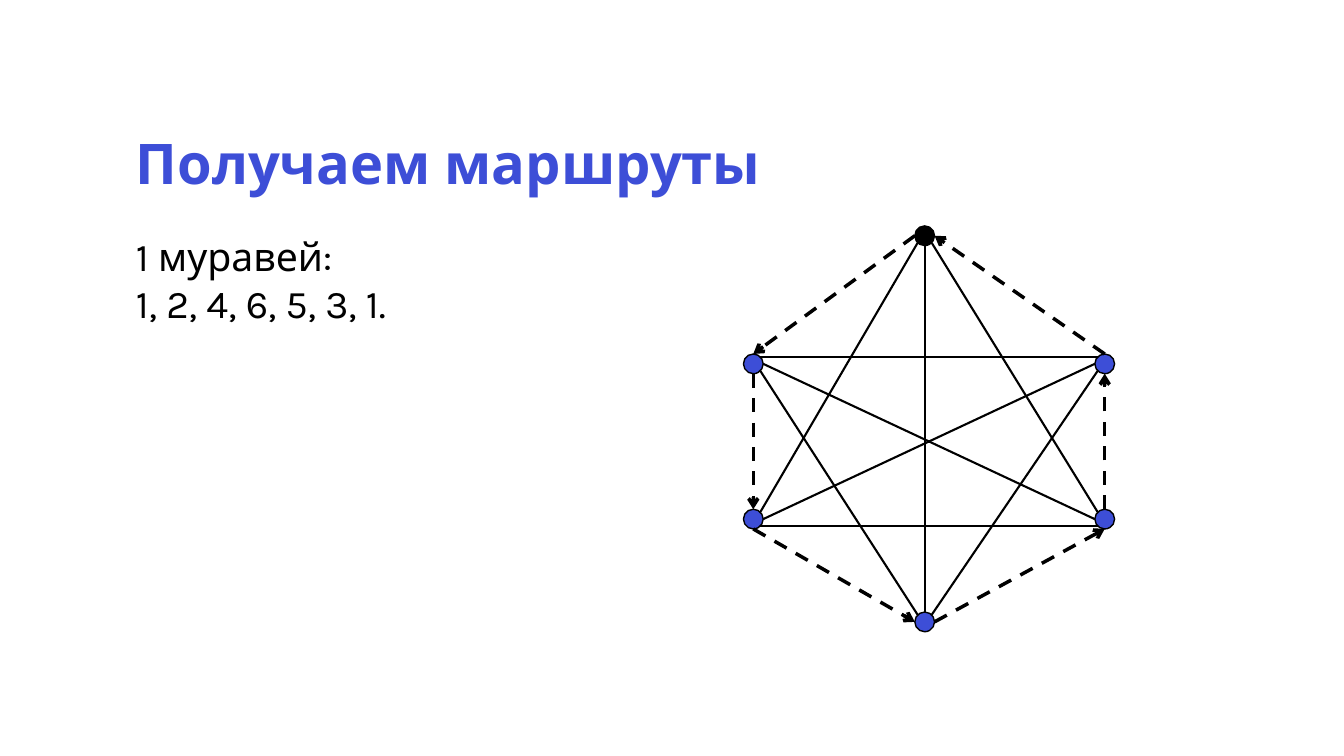
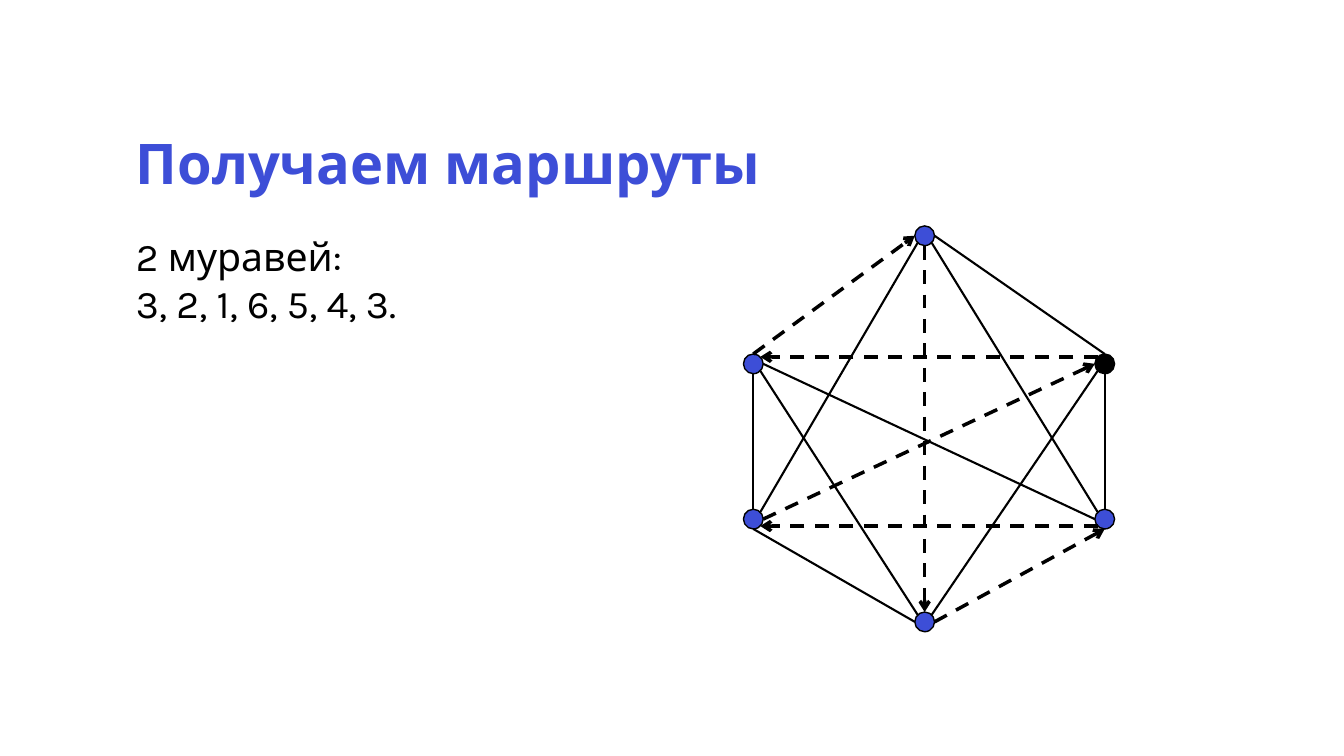
"""Build two slides that show ant routes over a complete graph of six nodes."""
import itertools
import math

import lxml.etree
import pptx
import pptx.dml.color
import pptx.enum.dml
import pptx.enum.shapes
import pptx.enum.text
import pptx.oxml.ns
import pptx.util

Pt = pptx.util.Pt
BLUE = pptx.dml.color.RGBColor(0x3D, 0x4E, 0xD7)
BLACK = pptx.dml.color.RGBColor(0, 0, 0)
FONT = "Karla"
TITLE = "Получаем маршруты"

DIAMETER = 14.1
LEFT, MIDDLE, RIGHT = 538.1, 660.5, 789.1
NODES = {
    1: (MIDDLE, 168.4),
    2: (LEFT, 259.9),
    3: (RIGHT, 259.9),
    4: (LEFT, 370.8),
    5: (RIGHT, 370.8),
    6: (MIDDLE, 444.2),
}
ANGLES = {"E": 0, "SE": 45, "S": 90, "SW": 135, "W": 180, "NW": 225, "N": 270, "NE": 315}
EDGE_SIDES = {
    (1, 2): ("W", "N"),
    (1, 3): ("E", "N"),
    (1, 4): ("SW", "NE"),
    (1, 5): ("SE", "NW"),
    (1, 6): ("S", "N"),
    (2, 3): ("NE", "NW"),
    (2, 4): ("S", "N"),
    (2, 5): ("E", "W"),
    (2, 6): ("SE", "NW"),
    (3, 4): ("W", "E"),
    (3, 5): ("S", "N"),
    (3, 6): ("SW", "NE"),
    (4, 5): ("SE", "SW"),
    (4, 6): ("S", "W"),
    (5, 6): ("S", "E"),
}
ROUTES = [
    (1, 2, 4, 6, 5, 3, 1),
    (3, 2, 1, 6, 5, 4, 3),
]


def add_text(slide, box, text, size, color, bold=False):
    """Add a wrapped text box and return its text frame."""
    frame = slide.shapes.add_textbox(*map(Pt, box)).text_frame
    frame.word_wrap = True
    frame.text = text
    for paragraph in frame.paragraphs:
        for run in paragraph.runs:
            run.font.name = FONT
            run.font.size = Pt(size)
            run.font.bold = bold
            run.font.color.rgb = color
    return frame


def add_title(slide):
    """Add the title that all slides share."""
    frame = add_text(slide, (90, 90, 781, 57.6), TITLE, 40, BLUE, bold=True)
    frame.vertical_anchor = pptx.enum.text.MSO_ANCHOR.MIDDLE
    frame.paragraphs[0].line_spacing = 0.9


def add_caption(slide, ant, route):
    """Add the ant's number and the list of nodes it visits."""
    visits = ", ".join(map(str, route))
    frame = add_text(slide, (90, 162.7, 390, 75), f"{ant} муравей:\n{visits}.", 28, BLACK)
    frame.auto_size = pptx.enum.text.MSO_AUTO_SIZE.SHAPE_TO_FIT_TEXT


def add_node(slide, center, color):
    """Add a round graph node around its center."""
    x, y = (value - DIAMETER / 2 for value in center)
    node = slide.shapes.add_shape(
        pptx.enum.shapes.MSO_SHAPE.OVAL, Pt(x), Pt(y), Pt(DIAMETER), Pt(DIAMETER))
    node.shadow.inherit = False
    node.fill.solid()
    node.fill.fore_color.rgb = color
    node.line.color.rgb = BLACK
    node.line.width = Pt(1)


def rim_point(node, side):
    """Return the point on a node's rim that faces a side."""
    x, y = NODES[node]
    angle = math.radians(ANGLES[side])
    return x + DIAMETER / 2 * math.cos(angle), y + DIAMETER / 2 * math.sin(angle)


def add_edge(slide, start, end, travelled):
    """Add a plain edge, or a dashed arrow when the ant travels along it."""
    edge = slide.shapes.add_connector(
        pptx.enum.shapes.MSO_CONNECTOR.STRAIGHT, *map(Pt, (*start, *end)))
    edge.line.color.rgb = BLACK
    edge.line.width = Pt(2.5 if travelled else 1.5)
    qn = pptx.oxml.ns.qn
    if travelled:
        edge.line.dash_style = pptx.enum.dml.MSO_LINE.DASH
        outline = edge.line._get_or_add_ln()
        lxml.etree.SubElement(outline, qn("a:tailEnd"), type="arrow")
    lxml.etree.SubElement(edge._element.spPr, qn("a:effectLst"))


def add_graph(slide, route):
    """Draw the complete graph with one closed route highlighted."""
    steps = set(itertools.pairwise(route))
    for node, center in NODES.items():
        add_node(slide, center, BLACK if node == route[0] else BLUE)
    for pair, sides in EDGE_SIDES.items():
        ends = [rim_point(node, side) for node, side in zip(pair, sides)]
        backwards = pair[::-1] in steps
        if backwards:
            ends.reverse()
        add_edge(slide, *ends, travelled=backwards or pair in steps)


def main():
    """Create one slide per ant and save the presentation."""
    deck = pptx.Presentation()
    deck.slide_width, deck.slide_height = Pt(960), Pt(540)
    for ant, route in enumerate(ROUTES, start=1):
        slide = deck.slides.add_slide(deck.slide_layouts[6])
        add_title(slide)
        add_caption(slide, ant, route)
        add_graph(slide, route)
    deck.save("out.pptx")


if __name__ == "__main__":
    main()
